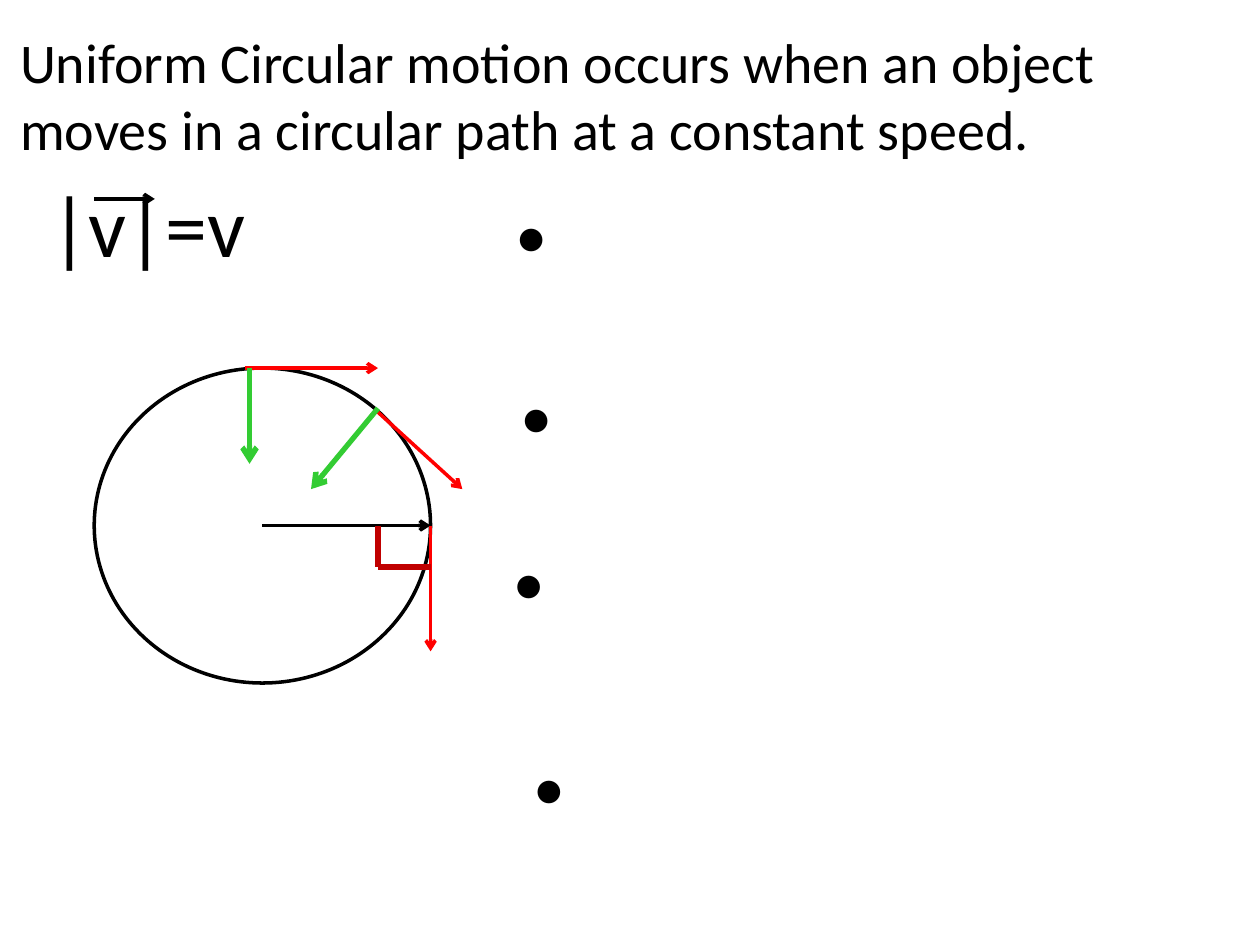
from dataclasses import dataclass

from lxml.etree import SubElement
from pptx import Presentation
from pptx.dml.color import RGBColor
from pptx.enum.shapes import MSO_CONNECTOR, MSO_SHAPE
from pptx.enum.text import MSO_ANCHOR, MSO_AUTO_SIZE, PP_ALIGN
from pptx.oxml.ns import qn
from pptx.util import Cm, Pt


@dataclass(frozen=True)
class Theme:
    font: str = "Calibri"
    ink: str = "000000"
    velocity: str = "FF0000"
    acceleration: str = "33CC33"
    right_angle: str = "C00000"
    title_size: int = 32
    formula_size: int = 48
    bullet_size: int = 28
    thin: int = 2
    thick: int = 3


THEME = Theme()


def write_text(holder, wording, size):
    """Fill a title or text box with one left-aligned paragraph."""
    frame = holder.text_frame
    frame.text = wording
    frame.word_wrap = True
    frame.auto_size = MSO_AUTO_SIZE.SHAPE_TO_FIT_TEXT
    frame.vertical_anchor = MSO_ANCHOR.TOP
    paragraph = frame.paragraphs[0]
    paragraph.alignment = PP_ALIGN.LEFT
    font = paragraph.runs[0].font
    font.name = THEME.font
    font.size = Pt(size)
    font.color.rgb = RGBColor.from_string(THEME.ink)


def add_title(slide, wording, left, top, width, height):
    title = slide.shapes.title
    title.left, title.top = Cm(left), Cm(top)
    title.width, title.height = Cm(width), Cm(height)
    write_text(title, wording, THEME.title_size)


def add_label(slide, wording, left, top, width, height, size):
    label = slide.shapes.add_textbox(Cm(left), Cm(top), Cm(width), Cm(height))
    write_text(label, wording, size)


def add_path(slide, left, top, width, height):
    """Draw the unfilled circular path."""
    path = slide.shapes.add_shape(
        MSO_SHAPE.OVAL, Cm(left), Cm(top), Cm(width), Cm(height))
    path.shadow.inherit = False
    path.fill.background()
    path.line.color.rgb = RGBColor.from_string(THEME.ink)
    path.line.width = Pt(THEME.thin)


def add_line(slide, start, end, color, weight, arrow=True):
    line = slide.shapes.add_connector(
        MSO_CONNECTOR.STRAIGHT, *map(Cm, start + end))
    line.line.color.rgb = RGBColor.from_string(color)
    line.line.width = Pt(weight)
    if arrow:
        SubElement(line.line._get_or_add_ln(), qn("a:tailEnd"), type="arrow")
    SubElement(line._element.spPr, qn("a:effectLst"))


def main():
    deck = Presentation()
    deck.slide_width, deck.slide_height = Cm(25.4), Cm(19.05)
    slide = deck.slides.add_slide(deck.slide_layouts[5])

    # Definition
    add_title(slide, "Uniform Circular motion occurs when an object moves in "
              "a circular path at a constant speed.", 0.15, 0.43, 24.18, 3)

    # Circular path with its radius
    left, top, width, height = 1.9, 7.42, 6.78, 6.35
    center = (left + width / 2, top + height / 2)
    rim = (left + width, center[1])
    add_path(slide, left, top, width, height)
    add_line(slide, center, rim, THEME.ink, THEME.thin)

    # Velocity along the tangents
    corner_x = 7.62
    for start, end in (((4.93, top), (corner_x, top)),
                       (rim, (rim[0], 13.13)),
                       ((corner_x, 8.31), (9.32, 9.86))):
        add_line(slide, start, end, THEME.velocity, THEME.thin)

    # Speed formula with the vector arrow over v
    add_label(slide, "|v|=v", 0.76, 3.38, 4.8, 2.31, THEME.formula_size)
    add_line(slide, (left, 4.01), (3.12, 4.01), THEME.ink, THEME.thin)

    # Right angle between radius and velocity
    corner = (corner_x, 11.43)
    for start, end in (((corner_x, rim[1]), corner),
                       (corner, (rim[0], corner[1]))):
        add_line(slide, start, end, THEME.right_angle, THEME.thick, arrow=False)

    # Acceleration towards the center
    for start, end in (((5.03, top), (5.03, 9.35)),
                       ((corner_x, 8.23), (6.27, 9.86))):
        add_line(slide, start, end, THEME.acceleration, THEME.thick)

    # Open points for notes
    for point_left, point_top, point_width in ((10.16, 4.01, 16.08),
                                               (10.26, 7.67, 16.08),
                                               (10.11, 11.02, 16.08),
                                               (10.52, 15.14, 7.87)):
        add_label(slide, "●", point_left, point_top, point_width, 1.45,
                  THEME.bullet_size)

    deck.save("out.pptx")


if __name__ == "__main__":
    main()
